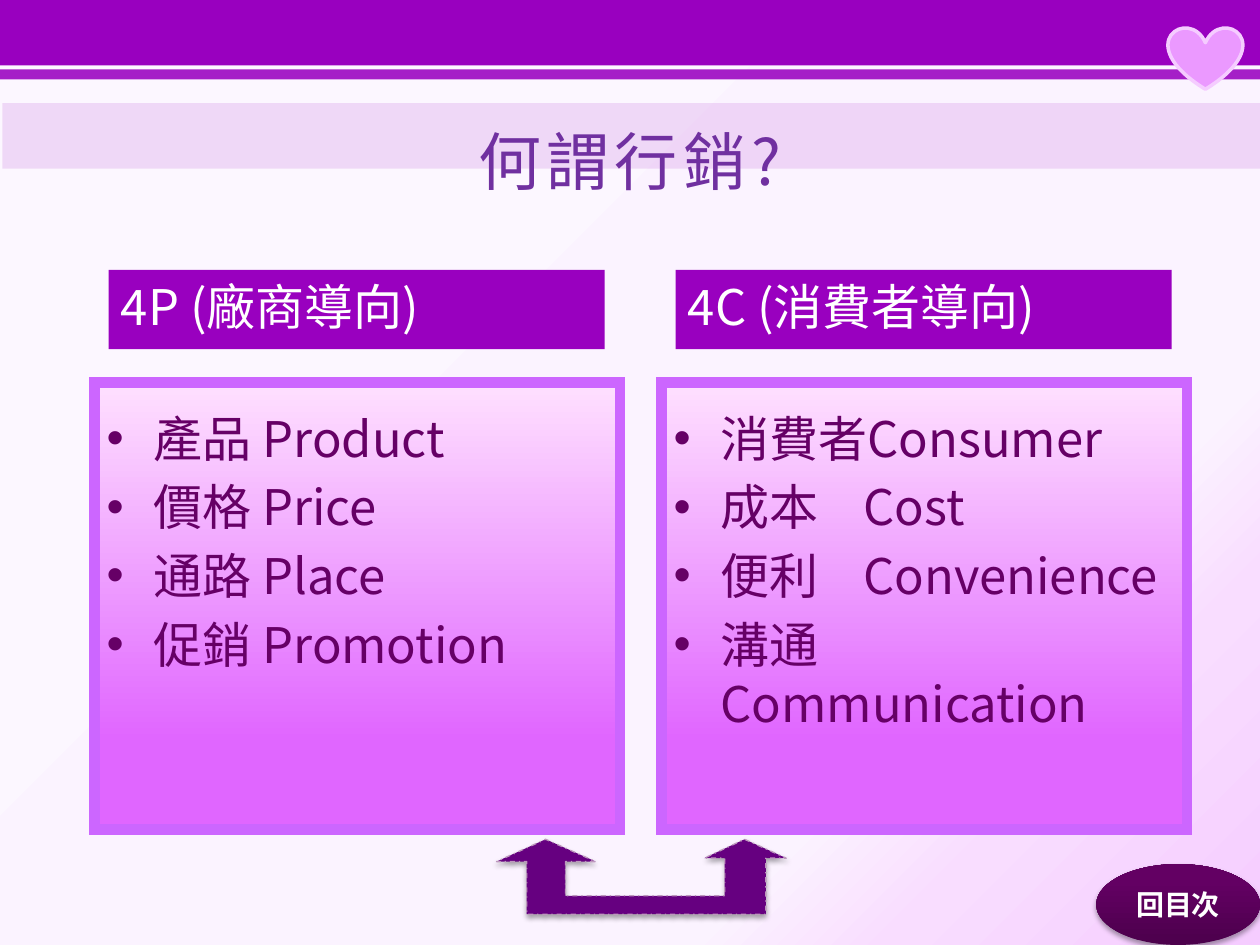
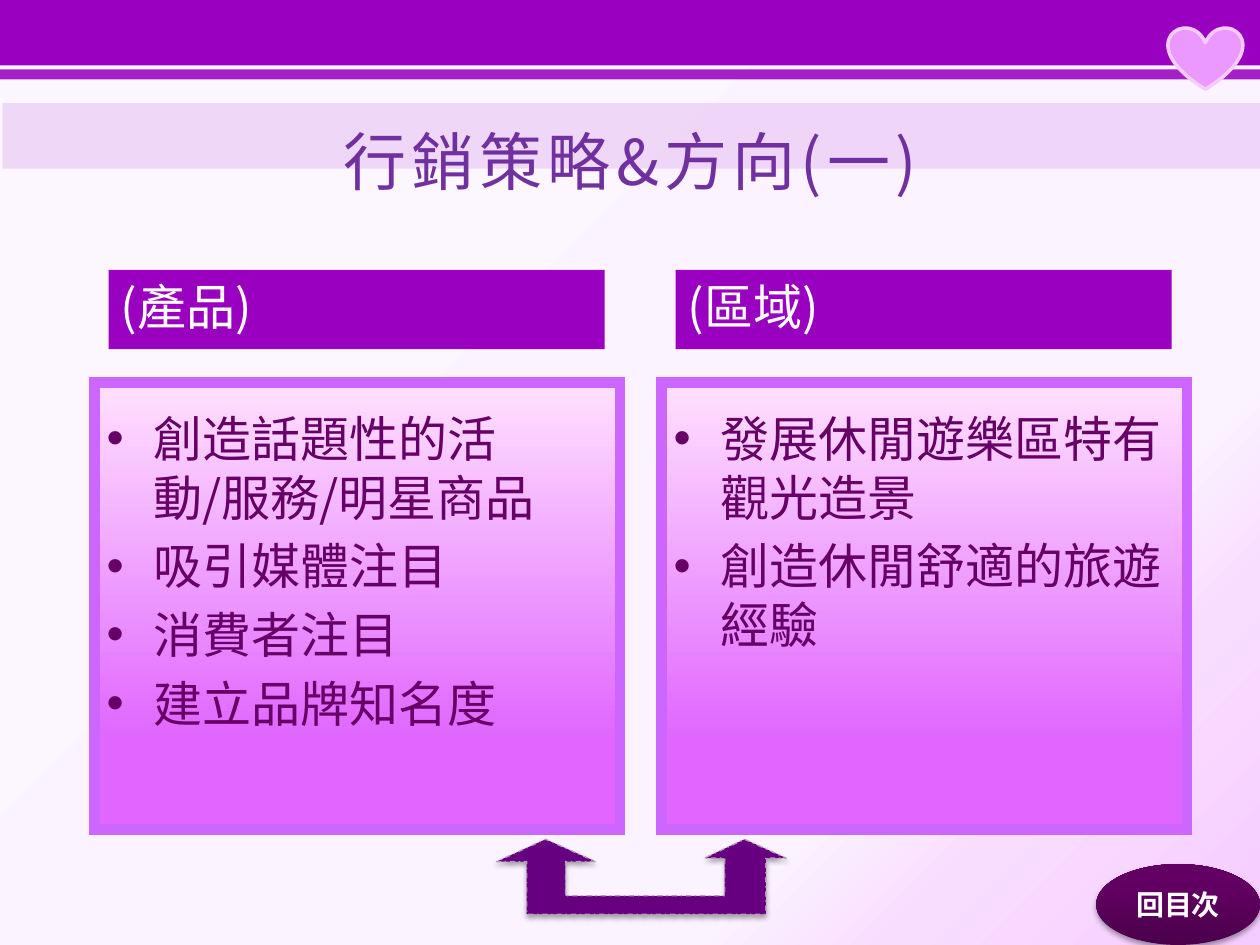
from lxml.etree import SubElement
from pptx import Presentation
from pptx.dml.color import RGBColor
from pptx.enum.dml import MSO_LINE
from pptx.enum.shapes import MSO_SHAPE
from pptx.enum.text import MSO_ANCHOR, PP_ALIGN
from pptx.oxml.ns import qn
from pptx.util import Cm, Pt

COLOURS = {
    "band": "9900BF",
    "title": "7030A0",
    "body": "660066",
    "white": "FFFFFF",
    "heart": "EB99FF",
    "heart_edge": "F5CCFF",
    "arrow": "660080",
    "arrow_edge": "BD97BD",
    "panel_edge": "CC66FF",
    "shadow": "000000",
}
GRADIENTS = {
    "background": [(0, "FCF7FF"), (74, "FBF3FF"), (83, "F9DDFF"), (100, "F5CCFF")],
    "panel": [(0, "FFE0FF"), (80, "E066FF"), (100, "E066FF")],
    "button": [(0, "4C004C"), (80, "630063"), (100, "630063")],
}
FONT = "Noto Sans CJK SC"
SLIDE_WIDTH, SLIDE_HEIGHT = 25.4, 19.05
COLUMN_STEP = 11.43
TAB_STOP = 3.83
BULLET_INDENT = 0.95
ARROW_POINTS = [
    (15.01, 16.92), (15.85, 17.3), (15.44, 17.3), (15.44, 18.43),
    (10.62, 18.43), (10.62, 17.37), (10.01, 17.37), (11, 16.92),
    (12.01, 17.37), (11.4, 17.37), (11.4, 18.06), (14.61, 18.06),
    (14.61, 17.3), (14.2, 17.3),
]
TEXT_FORMATS = {
    "title": {
        "font": {"size": Pt(36)},
        "paragraph": {"alignment": PP_ALIGN.CENTER},
        "frame": {"vertical_anchor": MSO_ANCHOR.MIDDLE},
        "colour": "title",
        "spacing": 300,
    },
    "header": {
        "font": {"size": Pt(28)},
        "paragraph": {"alignment": PP_ALIGN.LEFT, "space_before": Pt(5.6)},
        "frame": {"vertical_anchor": MSO_ANCHOR.TOP},
        "colour": "white",
    },
    "body": {
        "font": {"size": Pt(28)},
        "paragraph": {"alignment": PP_ALIGN.LEFT, "space_before": Pt(5.6)},
        "frame": {"vertical_anchor": MSO_ANCHOR.TOP, "margin_top": Cm(0.51)},
        "colour": "body",
        "bullet": True,
    },
    "button": {
        "font": {"size": Pt(16), "bold": True},
        "paragraph": {"alignment": PP_ALIGN.CENTER},
        "frame": {"vertical_anchor": MSO_ANCHOR.MIDDLE},
        "colour": "white",
    },
}
SLIDES = [
    ("何謂行銷?", [
        ("4P (廠商導向)", ["產品 Product", "價格 Price", "通路 Place", "促銷 Promotion"]),
        ("4C (消費者導向)", ["消費者Consumer", "成本\tCost", "便利\tConvenience",
                       "溝通 Communication"]),
    ]),
    ("行銷策略&方向(一)", [
        ("(產品)", ["創造話題性的活動/服務/明星商品", "吸引媒體注目", "消費者注目",
                  "建立品牌知名度"]),
        ("(區域)", ["發展休閒遊樂區特有觀光造景", "創造休閒舒適的旅遊經驗"]),
    ]),
]


def set_attributes(target, values):
    for name, value in values.items():
        setattr(target, name, value)


def add_element(parent, tag, **attributes):
    return SubElement(parent, qn(tag), {key: str(value) for key, value in attributes.items()})


class DeckBuilder:
    def __init__(self):
        self.presentation = Presentation()
        set_attributes(self.presentation, {
            "slide_width": Cm(SLIDE_WIDTH), "slide_height": Cm(SLIDE_HEIGHT)})
        self.slide = None

    def new_slide(self):
        self.slide = self.presentation.slides.add_slide(self.presentation.slide_layouts[6])
        fill = self.slide.background.fill
        fill.solid()
        self.gradient(self.slide._element, fill, "background")

    def colour(self, name):
        return RGBColor.from_string(COLOURS[name])

    def gradient(self, owner, fill, name, angle=None):
        fill.solid()
        solid = next(owner.iter(qn("a:solidFill")))
        gradient = add_element(solid.getparent(), "a:gradFill", rotWithShape=1)
        solid.getparent().replace(solid, gradient)
        stops = add_element(gradient, "a:gsLst")
        for position, value in GRADIENTS[name]:
            stop = add_element(stops, "a:gs", pos=position * 1000)
            add_element(stop, "a:srgbClr", val=value)
        if angle is None:
            focus = add_element(gradient, "a:path", path="circle")
            add_element(focus, "a:fillToRect", r=100000, b=100000)
        else:
            add_element(gradient, "a:lin", ang=angle * 60000, scaled=0)

    def paint(self, shape, fill, alpha=None, line=None, line_width=1):
        shape.shadow.inherit = False
        shape.fill.solid()
        shape.fill.fore_color.rgb = self.colour(fill)
        if alpha:
            colour = next(shape._element.spPr.iter(qn("a:srgbClr")))
            add_element(colour, "a:alpha", val=alpha * 1000)
        self.outline(shape, line, line_width)

    def outline(self, shape, line, width):
        if line:
            shape.line.color.rgb = self.colour(line)
            shape.line.width = Pt(width)
        else:
            shape.line.fill.background()

    def shadow(self, shape):
        effects = shape._element.spPr.find(qn("a:effectLst"))
        outer = add_element(effects, "a:outerShdw", blurRad=Pt(3.1), dist=Pt(1.8),
                            dir=5400000, rotWithShape=0)
        colour = add_element(outer, "a:srgbClr", val=COLOURS["shadow"])
        add_element(colour, "a:alpha", val=35000)

    def shape(self, kind, box):
        return self.slide.shapes.add_shape(kind, *map(Cm, box))

    def block(self, box, fill, **options):
        shape = self.shape(MSO_SHAPE.RECTANGLE, box)
        self.paint(shape, fill, **options)
        return shape

    def text(self, shape, lines, style):
        values = TEXT_FORMATS[style]
        frame = shape.text_frame
        frame.word_wrap = True
        set_attributes(frame, values["frame"])
        for index, line in enumerate(lines):
            paragraph = frame.add_paragraph() if index else frame.paragraphs[0]
            set_attributes(paragraph, values["paragraph"])
            run = paragraph.add_run()
            run.text = line
            set_attributes(run.font, {"name": FONT, **values["font"]})
            run.font.color.rgb = self.colour(values["colour"])
            properties = run._r.get_or_add_rPr()
            add_element(properties, "a:ea", typeface=FONT)
            if "spacing" in values:
                properties.set("spc", str(values["spacing"]))
            if "bullet" in values:
                self.bullet(paragraph, "\t" in line)

    def bullet(self, paragraph, has_tab):
        properties = paragraph._p.get_or_add_pPr()
        properties.set("marL", str(Cm(BULLET_INDENT)))
        properties.set("indent", str(-Cm(BULLET_INDENT)))
        add_element(properties, "a:buFont", typeface="Arial")
        add_element(properties, "a:buChar", char="•")
        if has_tab:
            tabs = add_element(properties, "a:tabLst")
            add_element(tabs, "a:tab", pos=Cm(TAB_STOP), algn="l")

    def bands(self):
        self.block((0, 0, SLIDE_WIDTH, 1.32), "band")
        self.block((0.05, 2.08, SLIDE_WIDTH - 0.05, 1.32), "band", alpha=12)
        self.block((0, 1.4, SLIDE_WIDTH, 0.2), "band", alpha=87)

    def ornament(self):
        heart = self.shape(MSO_SHAPE.HEART, (23.55, 0.55, 1.5, 1.25))
        self.paint(heart, "heart", line="heart_edge", line_width=2)

    def double_arrow(self):
        start, *others = [(Cm(x), Cm(y)) for x, y in ARROW_POINTS]
        builder = self.slide.shapes.build_freeform(*start)
        builder.add_line_segments(others, close=True)
        arrow = builder.convert_to_shape()
        self.paint(arrow, "arrow", line="arrow_edge", line_width=0.75)
        arrow.line.dash_style = MSO_LINE.DASH_DOT
        self.shadow(arrow)

    def title(self, words):
        box = self.slide.shapes.add_textbox(*map(Cm, (1.9, 2.36, 21.6, 1.73)))
        self.text(box, [words], "title")

    def column(self, index, header, items):
        offset = index * COLUMN_STEP
        panel = self.shape(MSO_SHAPE.RECTANGLE, (1.9 + offset, 7.72, 10.6, 9))
        panel.shadow.inherit = False
        self.gradient(panel._element, panel.fill, "panel", 90)
        self.outline(panel, "panel_edge", 6.25)
        add_element(panel.line._get_or_add_ln(), "a:miter", lim=800000)
        self.text(panel, items, "body")
        heading = self.block((2.19 + offset, 5.44, 10, 1.6), "band")
        self.text(heading, [header], "header")

    def button(self, words):
        button = self.shape(MSO_SHAPE.OVAL, (22.1, 17.42, 3.3, 1.63))
        button.shadow.inherit = False
        self.gradient(button._element, button.fill, "button", 270)
        self.outline(button, None, 0)
        self.shadow(button)
        self.text(button, [words], "button")


def main():
    deck = DeckBuilder()
    for title, columns in SLIDES:
        deck.new_slide()
        deck.bands()
        deck.ornament()
        deck.double_arrow()
        for index, (header, items) in enumerate(columns):
            deck.column(index, header, items)
        deck.title(title)
        deck.button("回目次")
    deck.presentation.save("out.pptx")


if __name__ == "__main__":
    main()
